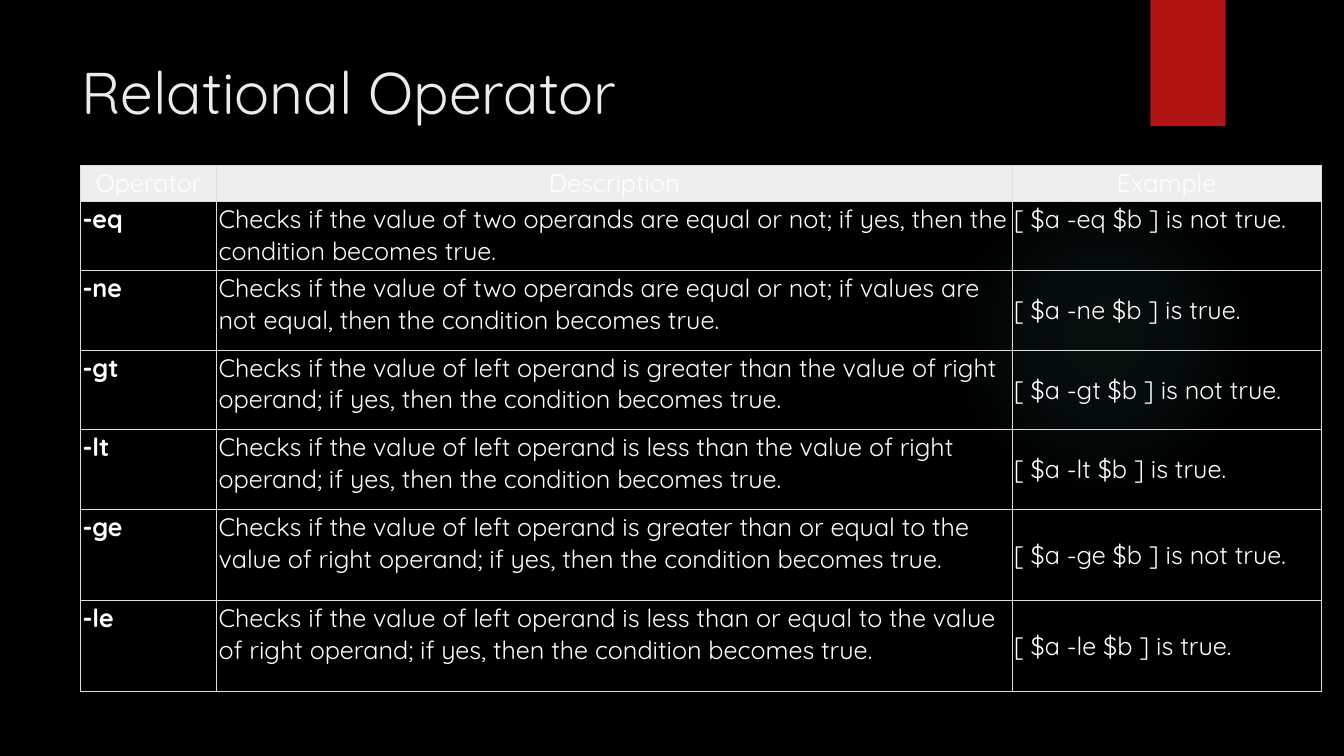
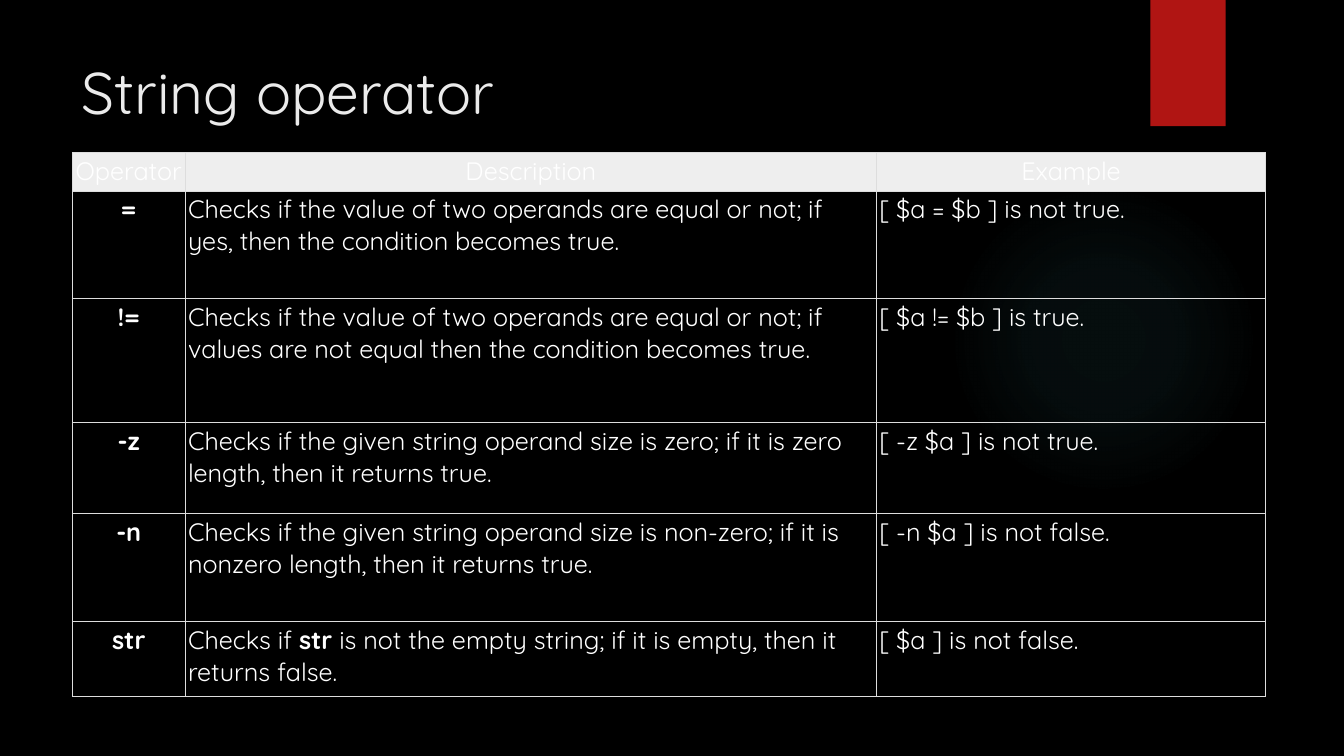
from dataclasses import dataclass

from pptx import Presentation
from pptx.dml.color import RGBColor
from pptx.enum.shapes import MSO_SHAPE
from pptx.enum.text import MSO_ANCHOR, MSO_AUTO_SIZE, PP_ALIGN
from pptx.oxml import parse_xml
from pptx.oxml.ns import nsdecls, qn
from pptx.util import Cm, Pt


@dataclass(frozen=True)
class Theme:
    font: str = "Quicksand"
    title_size: int = 42
    table_size: int = 18
    background: str = "000000"
    title: str = "EBEBEB"
    text: str = "FFFFFF"
    header: str = "EEEEEE"
    border: str = "DDDDDD"
    border_width: float = 0.6
    ribbon: str = "B01513"
    glow: str = "50B9C1"
    glow_stops: tuple = ((0, 7), (36, 6), (69, 0))  # position %, opacity %


theme = Theme()
HEADINGS = ("Operator", "Description", "Example")

# Text between asterisks is bold
SLIDES = [
    {
        "title": "Relational Operator",
        "left": 2.03, "top": 4.17, "inset": 0.05,
        "columns": (3.43, 20.04, 7.8),
        "heights": (0.91, 1.73, 2.01, 2.01, 2.01, 2.29, 2.29),
        "operator_align": PP_ALIGN.LEFT,
        "example_anchor": MSO_ANCHOR.MIDDLE,
        "rows": [
            ("*-eq*", "Checks if the value of two operands are equal or not; if yes, "
             "then the condition becomes true.", "[ $a -eq $b ] is not true."),
            ("*-ne*", "Checks if the value of two operands are equal or not; if values "
             "are not equal, then the condition becomes true.", "[ $a -ne $b ] is true."),
            ("*-gt*", "Checks if the value of left operand is greater than the value of "
             "right operand; if yes, then the condition becomes true.",
             "[ $a -gt $b ] is not true."),
            ("*-lt*", "Checks if the value of left operand is less than the value of "
             "right operand; if yes, then the condition becomes true.",
             "[ $a -lt $b ] is true."),
            ("*-ge*", "Checks if the value of left operand is greater than or equal to "
             "the value of right operand; if yes, then the condition becomes true.",
             "[ $a -ge $b ] is not true."),
            ("*-le*", "Checks if the value of left operand is less than or equal to the "
             "value of right operand; if yes, then the condition becomes true.",
             "[ $a -le $b ] is true."),
        ],
    },
    {
        "title": "String operator",
        "left": 1.82, "top": 3.84, "inset": 0.07,
        "columns": (2.85, 17.42, 9.8),
        "heights": (0.97, 2.72, 3.12, 2.29, 2.72, 1.88),
        "operator_align": PP_ALIGN.CENTER,
        "example_anchor": MSO_ANCHOR.TOP,
        "rows": [
            ("*=*", "Checks if the value of two operands are equal or not; if yes, "
             "then the condition becomes true.", "[ $a = $b ] is not true."),
            ("*!=*", "Checks if the value of two operands are equal or not; if values "
             "are not equal then the condition becomes true.", "[ $a != $b ] is true."),
            ("*-z*", "Checks if the given string operand size is zero; if it is zero "
             "length, then it returns true.", "[ -z $a ] is not true."),
            ("*-n*", "Checks if the given string operand size is non-zero; if it is "
             "nonzero length, then it returns true.", "[ -n $a ] is not false."),
            ("*str*", "Checks if *str* is not the empty string; if it is empty, then it "
             "returns false.", "[ $a ] is not false."),
        ],
    },
]


def style_run(run, size, color, bold=False):
    run.font.name = theme.font
    run.font.size = Pt(size)
    run.font.bold = bold
    run.font.color.rgb = RGBColor.from_string(color)


def add_borders(cell):
    properties = cell._tc.get_or_add_tcPr()
    for position, side in enumerate(("lnL", "lnR", "lnT", "lnB")):
        properties.insert(position, parse_xml(
            f'<a:{side} {nsdecls("a")} w="{Pt(theme.border_width)}"><a:solidFill>'
            f'<a:srgbClr val="{theme.border}"/></a:solidFill></a:{side}>'))


presentation = Presentation()
presentation.slide_width = Cm(33.87)
presentation.slide_height = Cm(19.05)

# Shared background and title place
backdrop = presentation.slide_master.background.fill
backdrop.solid()
backdrop.fore_color.rgb = RGBColor.from_string(theme.background)
layout = presentation.slide_layouts[5]
heading = layout.placeholders[0]
heading.left, heading.top, heading.width, heading.height = (
    Cm(1.8), Cm(1.27), Cm(26.14), Cm(3.89))

slides = [presentation.slides.add_slide(layout) for _ in SLIDES]

# Glow and ribbon, moved to the layout so that every slide shows them
glow = slides[0].shapes.add_shape(MSO_SHAPE.OVAL, Cm(23.9), Cm(4.65), Cm(7.82), Cm(7.82))
glow.fill.background()
stops = "".join(
    f'<a:gs pos="{position * 1000}"><a:srgbClr val="{theme.glow}">'
    f'<a:alpha val="{opacity * 1000}"/></a:srgbClr></a:gs>'
    for position, opacity in theme.glow_stops)
glow_properties = glow.element.spPr
glow_properties.replace(glow_properties.find(qn("a:noFill")), parse_xml(
    f'<a:gradFill {nsdecls("a")}><a:gsLst>{stops}</a:gsLst><a:path path="circle">'
    '<a:fillToRect l="50000" t="50000" r="50000" b="50000"/></a:path></a:gradFill>'))

ribbon = slides[0].shapes.add_shape(MSO_SHAPE.RECTANGLE, Cm(28.99), 0, Cm(1.9), Cm(3.18))
ribbon.fill.solid()
ribbon.fill.fore_color.rgb = RGBColor.from_string(theme.ribbon)

for position, decoration in enumerate((glow, ribbon), start=2):
    decoration.line.fill.background()
    decoration.shadow.inherit = False
    layout.shapes.element.insert(position, decoration.element)

for slide, content in zip(slides, SLIDES):
    # Title
    title_frame = slide.shapes.title.text_frame
    title_frame.text = content["title"]
    title_frame.vertical_anchor = MSO_ANCHOR.TOP
    title_frame.auto_size = MSO_AUTO_SIZE.NONE
    title_frame.paragraphs[0].alignment = PP_ALIGN.LEFT
    style_run(title_frame.paragraphs[0].runs[0], theme.title_size, theme.title)

    # Operator table
    columns, heights = content["columns"], content["heights"]
    operators = slide.shapes.add_table(
        len(heights), len(columns), Cm(content["left"]), Cm(content["top"]),
        Cm(sum(columns)), Cm(sum(heights))).table
    operators.first_row = operators.horz_banding = False
    for column, width in zip(operators.columns, columns):
        column.width = Cm(width)
    for row, height in zip(operators.rows, heights):
        row.height = Cm(height)

    for row_number, texts in enumerate([HEADINGS, *content["rows"]]):
        for column_number, text in enumerate(texts):
            cell = operators.cell(row_number, column_number)
            cell.margin_left = cell.margin_right = Cm(content["inset"])
            cell.margin_top = cell.margin_bottom = Cm(content["inset"])
            paragraph = cell.text_frame.paragraphs[0]
            paragraph.alignment = PP_ALIGN.LEFT
            if row_number == 0:
                paragraph.alignment = PP_ALIGN.CENTER
                cell.fill.solid()
                cell.fill.fore_color.rgb = RGBColor.from_string(theme.header)
            else:
                cell.fill.background()
                if column_number == 0:
                    paragraph.alignment = content["operator_align"]
                if column_number == 2 and row_number > 1:
                    cell.vertical_anchor = content["example_anchor"]
            add_borders(cell)
            for part_number, part in enumerate(text.split("*")):
                if part:
                    run = paragraph.add_run()
                    run.text = part
                    style_run(run, theme.table_size, theme.text, bold=part_number % 2 == 1)

presentation.save("out.pptx")
